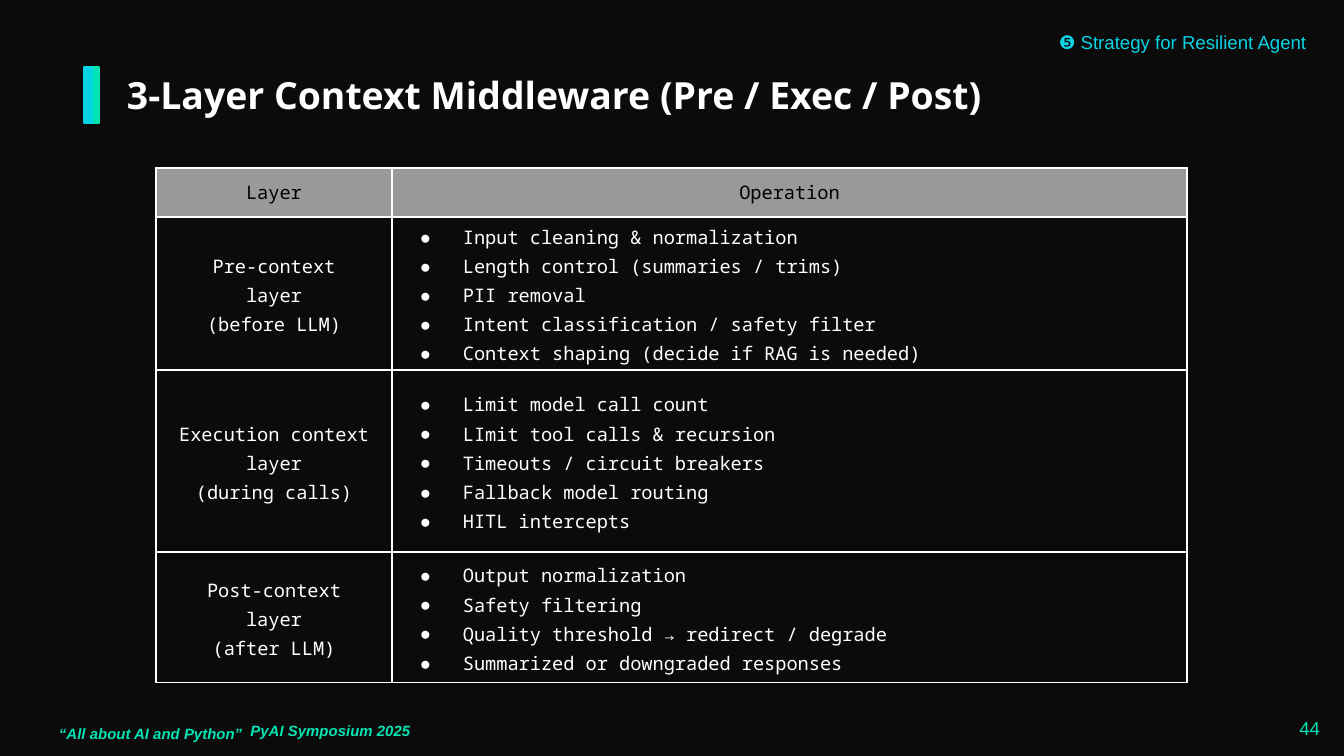
from lxml.etree import SubElement
from pptx import Presentation
from pptx.dml.color import RGBColor
from pptx.enum.shapes import MSO_SHAPE
from pptx.enum.text import MSO_ANCHOR, PP_ALIGN
from pptx.oxml.ns import qn
from pptx.util import Emu, Pt

EMU_PER_PX = 9144000 / 1344
WHITE, GREEN, CYAN = "FFFFFF", "01E4B4", "04D3E5"


def px(length):
    return Emu(round(length * EMU_PER_PX))


def style(paragraph, font_name, size, color, align=PP_ALIGN.LEFT, bold=False, italic=False):
    paragraph.alignment = align
    font = paragraph.font
    font.name, font.size = font_name, Pt(size)
    font.bold, font.italic = bold, italic
    font.color.rgb = RGBColor.from_string(color)


deck = Presentation()
deck.slide_width, deck.slide_height = px(1344), px(756)
slide = deck.slides.add_slide(deck.slide_layouts[6])
slide.background.fill.solid()
slide.background.fill.fore_color.rgb = RGBColor.from_string("0B0B0B")

# Two-tone accent beside the title
for left, color in ((91, GREEN), (84, CYAN)):
    accent = slide.shapes.add_shape(MSO_SHAPE.RECTANGLE, px(left), px(67), px(8), px(56))
    accent.shadow.inherit = False
    accent.fill.solid()
    accent.fill.fore_color.rgb = RGBColor.from_string(color)
    accent.line.color.rgb = RGBColor.from_string(color)
    accent.line.width = Pt(0.75)

# Title, section, footer and page number
TOP, MIDDLE, BOTTOM = MSO_ANCHOR.TOP, MSO_ANCHOR.MIDDLE, MSO_ANCHOR.BOTTOM
LEFT, CENTER, RIGHT = PP_ALIGN.LEFT, PP_ALIGN.CENTER, PP_ALIGN.RIGHT
texts = [
    ("“All about AI and Python”", (46, 688, 308, 64), BOTTOM, ("Arial", 8, GREEN, LEFT, True, True)),
    ("PyAI Symposium 2025", (232, 711, 197, 39), MIDDLE, ("Arial", 8, GREEN, CENTER, True, True)),
    ("44", (1252, 717, 81, 23), MIDDLE, ("Arial", 10, GREEN, RIGHT)),
    ("3-Layer Context Middleware (Pre / Exec / Post)", (114, 58, 1142, 74), MIDDLE,
     ("Noto Sans", 20, WHITE, LEFT, True)),
    ("❺ Strategy for Resilient Agent", (963, 20, 356, 51), TOP, ("Arial", 10, "09D3E5", RIGHT)),
]
for text, place, anchor, look in texts:
    frame = slide.shapes.add_textbox(*map(px, place)).text_frame
    frame.word_wrap = True
    frame.vertical_anchor = anchor
    frame.margin_left = frame.margin_right = frame.margin_top = frame.margin_bottom = px(13)
    frame.text = text
    style(frame.paragraphs[0], *look)

# Layers and their operations
rows = [
    (49, ["Layer"], ["Operation"]),
    (153, ["Pre-context", "layer", "(before LLM)"],
     ["Input cleaning & normalization", "Length control (summaries / trims)", "PII removal",
      "Intent classification / safety filter", "Context shaping (decide if RAG is needed)"]),
    (182, ["Execution context", "layer", "(during calls)"],
     ["Limit model call count", "LImit tool calls & recursion", "Timeouts / circuit breakers",
      "Fallback model routing", "HITL intercepts"]),
    (131, ["Post-context", "layer", "(after LLM)"],
     ["Output normalization", "Safety filtering", "Quality threshold → redirect / degrade",
      "Summarized or downgraded responses"]),
]
column_widths = (236, 795)
table_height = sum(height for height, *_ in rows)
table = slide.shapes.add_table(len(rows), 2, px(156), px(168),
                               px(sum(column_widths)), px(table_height)).table
table.first_row = table.horz_banding = False
for column, width in zip(table.columns, column_widths):
    column.width = px(width)

for row_index, (height, *contents) in enumerate(rows):
    table.rows[row_index].height = px(height)
    is_header = row_index == 0
    for column_index, lines in enumerate(contents):
        cell = table.cell(row_index, column_index)
        cell.vertical_anchor = MIDDLE
        cell.margin_left = cell.margin_right = px(4)
        cell.margin_top = cell.margin_bottom = px(3)

        # Borders must precede the fill in the cell properties
        properties = cell._tc.get_or_add_tcPr()
        for side in ("a:lnL", "a:lnR", "a:lnT", "a:lnB"):
            border = SubElement(properties, qn(side), w=str(Pt(0.75)))
            SubElement(SubElement(border, qn("a:solidFill")), qn("a:srgbClr"), val=WHITE)
        if is_header:
            cell.fill.solid()
            cell.fill.fore_color.rgb = RGBColor.from_string("999999")
        else:
            cell.fill.background()

        cell.text_frame.text = "\n".join(lines)
        is_bulleted = column_index == 1 and not is_header
        for paragraph in cell.text_frame.paragraphs:
            if not is_header:
                paragraph.line_spacing = 1.15
            if is_bulleted:
                bullet = paragraph._p.get_or_add_pPr()
                bullet.set("marL", str(px(67)))
                bullet.set("indent", str(-px(43)))
                SubElement(SubElement(bullet, qn("a:buClr")), qn("a:srgbClr"), val=WHITE)
                SubElement(bullet, qn("a:buFont"), typeface="Noto Sans Mono")
                SubElement(bullet, qn("a:buChar"), char="●")
            style(paragraph, "Noto Sans Mono", 10, "000000" if is_header else WHITE,
                  LEFT if is_bulleted else CENTER)

deck.save("out.pptx")
